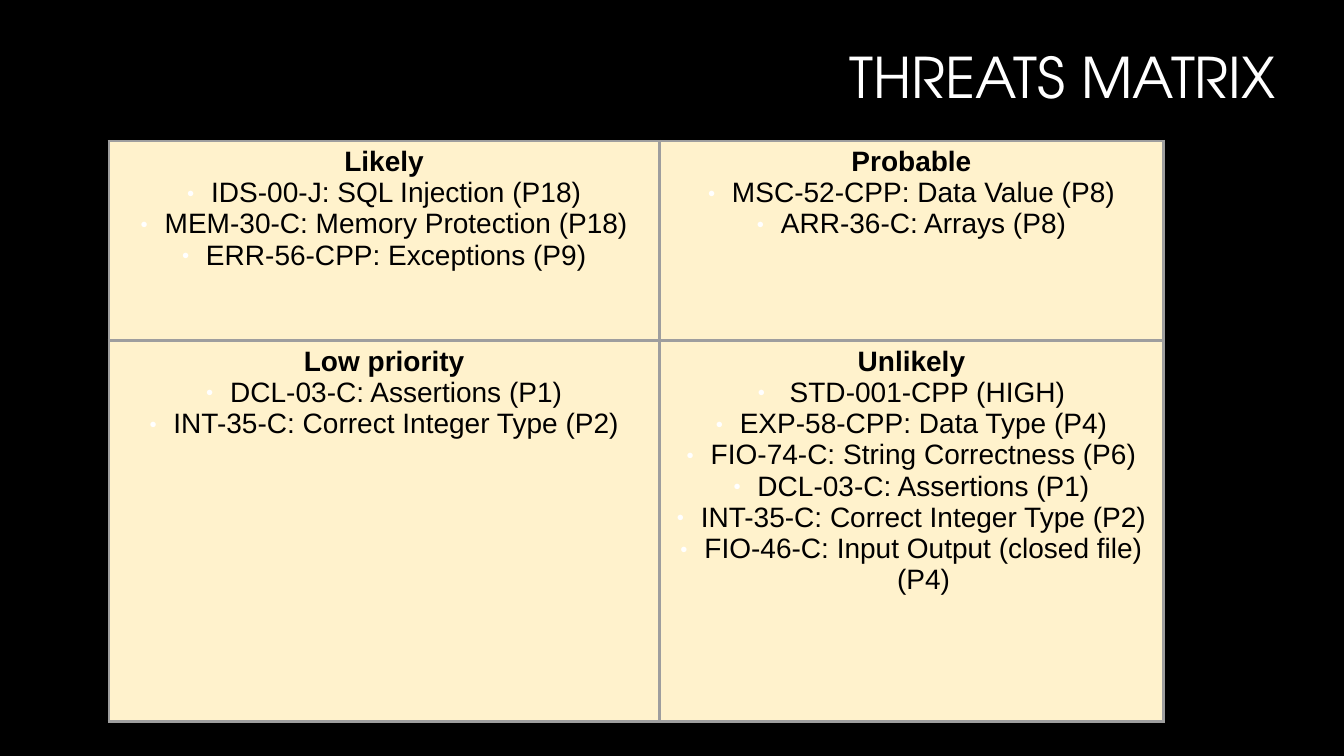
from dataclasses import dataclass

from lxml.etree import SubElement
from pptx import Presentation
from pptx.dml.color import RGBColor
from pptx.enum.text import MSO_ANCHOR, PP_ALIGN
from pptx.oxml.ns import qn
from pptx.util import Inches, Pt


@dataclass(frozen=True)
class Theme:
    background: str = "000000"
    title_color: str = "FFFFFF"
    text_color: str = "000000"
    bullet_color: str = "FFFFFF"
    cell_fill: str = "FFF2CC"
    border_color: str = "9E9E9E"
    title_font: str = "TeX Gyre Adventor"
    body_font: str = "Arial"
    title_size: float = 40
    body_size: float = 20
    border_width: float = 2.21
    bullet_percent: int = 45
    bullet_indent: float = 0.24


THEME = Theme()

QUADRANTS = [
    [
        ("Likely", ["IDS-00-J: SQL Injection (P18)",
                    "MEM-30-C: Memory Protection (P18)",
                    "ERR-56-CPP: Exceptions (P9)"]),
        ("Probable", ["MSC-52-CPP: Data Value (P8)",
                      "ARR-36-C: Arrays (P8)"]),
    ],
    [
        ("Low priority", ["DCL-03-C: Assertions (P1)",
                          "INT-35-C: Correct Integer Type (P2)"]),
        ("Unlikely", [" STD-001-CPP (HIGH)",
                      "EXP-58-CPP: Data Type (P4)",
                      "FIO-74-C: String Correctness (P6)",
                      "DCL-03-C: Assertions (P1)",
                      "INT-35-C: Correct Integer Type (P2)",
                      "FIO-46-C: Input Output (closed file) (P4)"]),
    ],
]


def add_run(paragraph, text, font, size, color, bold=False):
    run = paragraph.add_run()
    run.text = text
    run.font.name = font
    run.font.size = Pt(size)
    run.font.bold = bold
    run.font.color.rgb = RGBColor.from_string(color)


def add_bullet(paragraph):
    properties = paragraph._p.get_or_add_pPr()
    indent = Inches(THEME.bullet_indent)
    properties.set("marL", str(indent))
    properties.set("indent", str(-indent))
    color = SubElement(properties, qn("a:buClr"))
    SubElement(color, qn("a:srgbClr"), val=THEME.bullet_color)
    SubElement(properties, qn("a:buSzPct"), val=str(THEME.bullet_percent * 1000))
    SubElement(properties, qn("a:buFont"), typeface=THEME.body_font)
    SubElement(properties, qn("a:buChar"), char="●")


def style_cell(cell):
    properties = cell._tc.get_or_add_tcPr()
    for side in ("lnL", "lnR", "lnT", "lnB"):
        border = SubElement(properties, qn(f"a:{side}"), w=str(Pt(THEME.border_width)))
        fill = SubElement(border, qn("a:solidFill"))
        SubElement(fill, qn("a:srgbClr"), val=THEME.border_color)
    cell.fill.solid()
    cell.fill.fore_color.rgb = RGBColor.from_string(THEME.cell_fill)


def fill_quadrant(cell, heading, threats):
    style_cell(cell)
    frame = cell.text_frame
    for index, text in enumerate([heading, *threats]):
        paragraph = frame.add_paragraph() if index else frame.paragraphs[0]
        paragraph.alignment = PP_ALIGN.CENTER
        if index:
            add_bullet(paragraph)
        add_run(paragraph, text, THEME.body_font, THEME.body_size,
                THEME.text_color, bold=index == 0)


def add_title(slide, box, text):
    frame = slide.shapes.add_textbox(*map(Inches, box)).text_frame
    frame.word_wrap = True
    frame.vertical_anchor = MSO_ANCHOR.MIDDLE
    paragraph = frame.paragraphs[0]
    paragraph.alignment = PP_ALIGN.RIGHT
    paragraph.line_spacing = 0.9
    add_run(paragraph, text, THEME.title_font, THEME.title_size, THEME.title_color)


def add_matrix(slide, box, column_weights, row_weights, quadrants):
    left, top, width, height = box
    table = slide.shapes.add_table(len(row_weights), len(column_weights),
                                   *map(Inches, box)).table
    table.first_row = table.horz_banding = False
    for column, weight in zip(table.columns, column_weights):
        column.width = Inches(width * weight / sum(column_weights))
    for row, weight in zip(table.rows, row_weights):
        row.height = Inches(height * weight / sum(row_weights))
    for row, entries in zip(table.rows, quadrants):
        for cell, (heading, threats) in zip(row.cells, entries):
            fill_quadrant(cell, heading, threats)


def build_threats_slide(presentation):
    slide = presentation.slides.add_slide(presentation.slide_layouts[6])
    background = slide.background.fill
    background.solid()
    background.fore_color.rgb = RGBColor.from_string(THEME.background)
    add_title(slide, (3.33, 0.09, 9.42, 1.41), "THREATS MATRIX")
    add_matrix(slide, (1.08, 1.4, 10.46, 5.76), (5.46, 5), (1.98, 3.78), QUADRANTS)


def main():
    presentation = Presentation()
    presentation.slide_width = Inches(13.33)
    presentation.slide_height = Inches(7.5)
    build_threats_slide(presentation)
    presentation.save("out.pptx")


if __name__ == "__main__":
    main()
